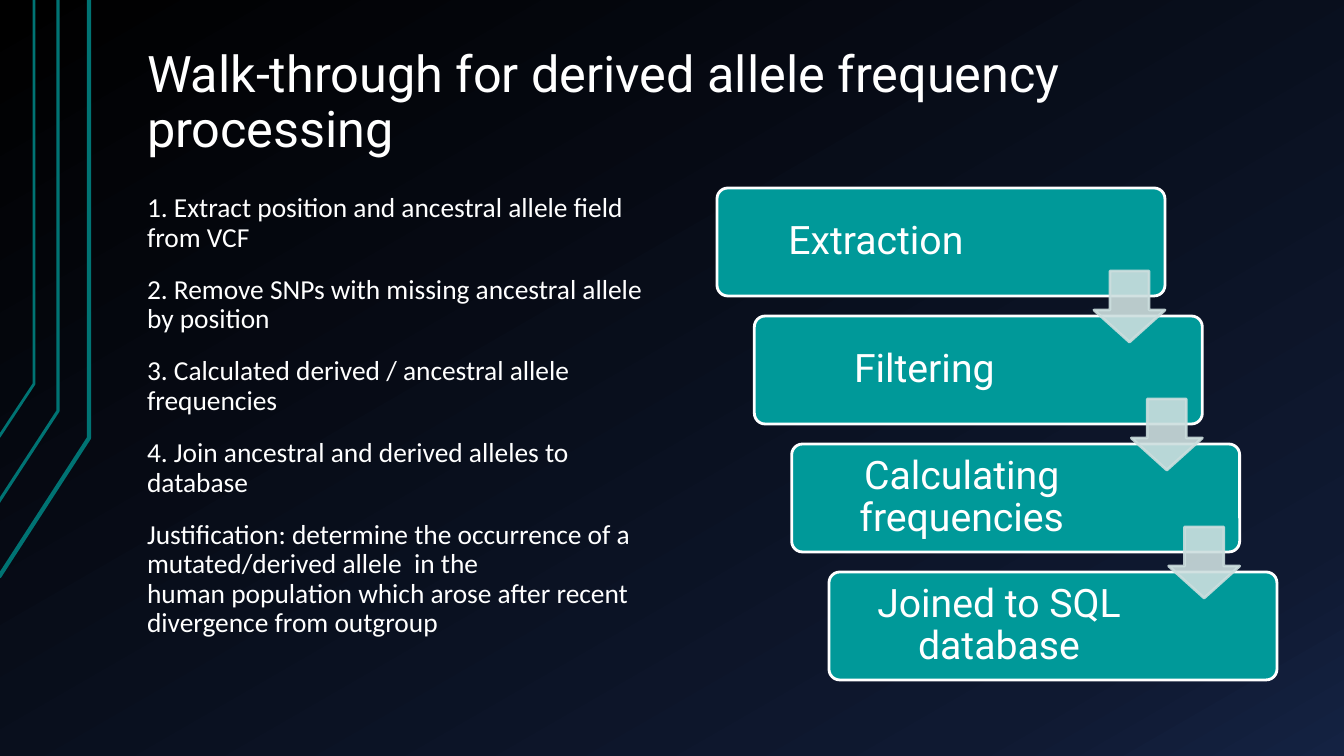
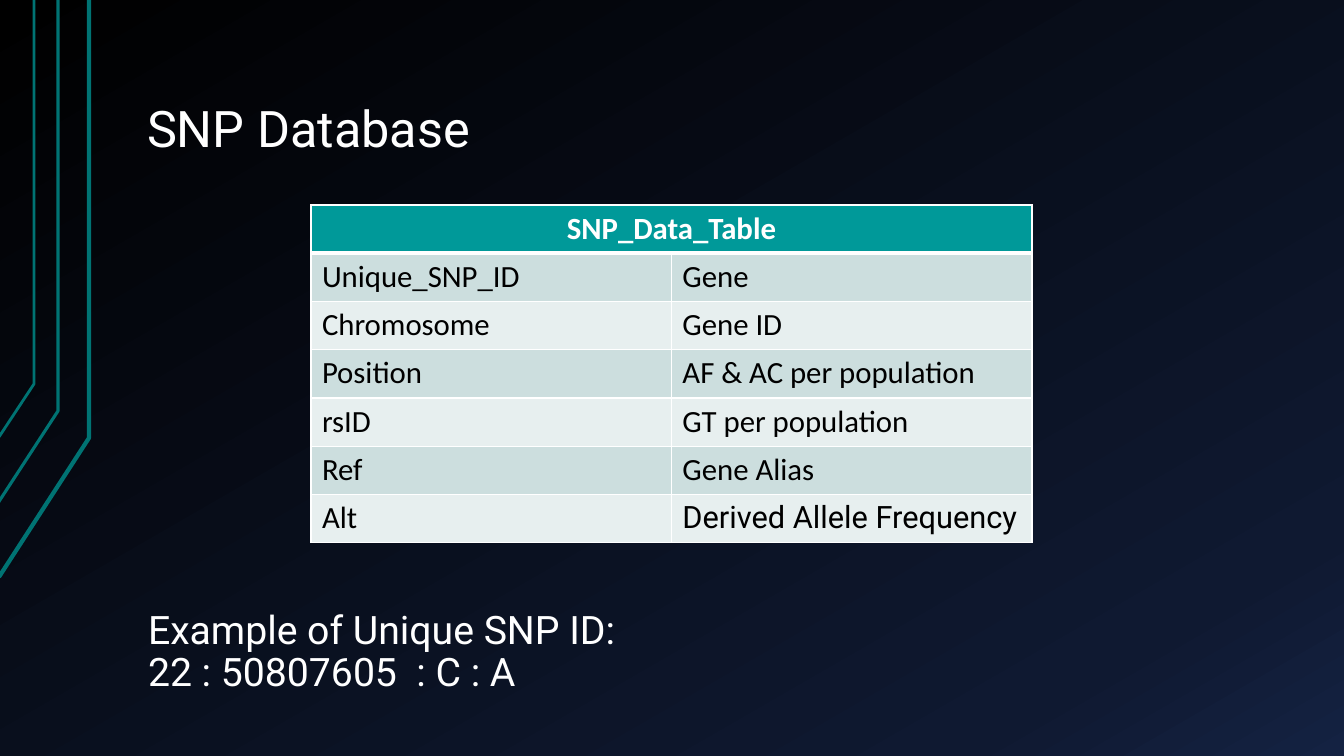
import copy
import lxml.etree
import pptx
import pptx.dml.color
import pptx.enum.shapes
import pptx.enum.text
import pptx.oxml.ns
import pptx.util

UNIT = 914400 / 100.8
HUE = {"white": "FFFFFF", "black": "000000", "navy": "0F1931", "blue": "142242",
       "teal": "009999", "line": "007373", "mist": "CCDEDE", "pale": "E7EFEF"}
FADE = [("black", 0), ("navy", 0.85), ("blue", 1)]
RAILS = [([(-1, 577), (89, 438), (89, 0)], 3),
         ([(-2, 503), (58, 411), (58, 0)], 2.25),
         ([(-1, 437), (34, 384), (34, 0)], 2)]
TITLE = (134, 30, 1142, 135)
NOTES = [
    "1. Extract position and ancestral allele field\u00a0 from VCF",
    "2. Remove SNPs with missing ancestral allele by position",
    "3. Calculated derived / ancestral allele frequencies",
    "4. Join ancestral\u00a0and derived alleles to database",
    "Justification: determine the\u00a0occurrence of a mutated/derived\u00a0allele\u00a0 "
    "in the human\u00a0population\u00a0which arose after\u00a0recent divergence from outgroup",
]
STEPS = [("Extraction", 312), ("Filtering", 334),
         ("Calculating frequencies", 334), ("Joined to SQL database", 334)]
FIELDS = [("Unique_SNP_ID", "Gene"), ("Chromosome", "Gene ID"),
          ("Position", "AF & AC per population"), ("rsID", "GT per population"),
          ("Ref", "Gene Alias"), ("Alt", "Derived Allele Frequency")]
SHAPE = pptx.enum.shapes.MSO_SHAPE
ANCHOR = pptx.enum.text.MSO_ANCHOR
ALIGN = pptx.enum.text.PP_ALIGN


def px(*vals):
    """Turn pixels into EMU."""
    return [pptx.util.Emu(round(val * UNIT)) for val in vals]


def rgb(name):
    """Look up a colour by name."""
    return pptx.dml.color.RGBColor.from_string(HUE[name])


def tag(name):
    """Expand a prefixed XML name."""
    return pptx.oxml.ns.qn(name)


def write(para, text, size, font="Roboto", color="white", bold=False):
    """Add one styled run to a paragraph."""
    run = para.add_run()
    run.text = text
    run.font.size = pptx.util.Pt(size)
    run.font.name = font
    run.font.bold = bold
    run.font.color.rgb = rgb(color)


def pad(part, left, top, right, base):
    """Set the inner margins of a text frame or cell."""
    (part.margin_left, part.margin_top,
     part.margin_right, part.margin_bottom) = px(left, top, right, base)


def prose(slide, box, lines, size, font="Roboto", anchor=ANCHOR.BOTTOM, gap=0):
    """Place a wrapped text box with one paragraph a line."""
    frame = slide.shapes.add_textbox(*px(*box)).text_frame
    frame.word_wrap = True
    frame.vertical_anchor = anchor
    pad(frame, 13, 7, 13, 7)
    for num, line in enumerate(lines):
        para = frame.add_paragraph() if num else frame.paragraphs[0]
        para.line_spacing = 0.9
        para.space_before = pptx.util.Pt(gap)
        write(para, line, size, font)


def shade(slide):
    """Fill the background with the three-stop fade."""
    fill = slide.background.fill
    fill.gradient()
    fill.gradient_angle = 300
    stops = slide.element.find(".//" + tag("a:gsLst"))
    stops.append(copy.deepcopy(stops[-1]))
    for stop, (name, place) in zip(fill.gradient_stops, FADE):
        stop.color.rgb = rgb(name)
        stop.position = place


def rails(slide):
    """Draw the bent lines at the left edge."""
    for points, width in RAILS:
        maker = slide.shapes.build_freeform(*points[0], scale=UNIT)
        maker.add_line_segments(points[1:], close=False)
        rail = maker.convert_to_shape()
        rail.shadow.inherit = False
        rail.fill.background()
        rail.line.color.rgb = rgb("line")
        rail.line.width = pptx.util.Pt(width)


def start(deck, title):
    """Add a slide with the shared backdrop and title."""
    slide = deck.slides.add_slide(deck.slide_layouts[6])
    shade(slide)
    rails(slide)
    prose(slide, TITLE, [title], 36)
    return slide


def solid(slide, kind, box, fill, edge, adjust):
    """Add a filled preset shape with an outline."""
    shape = slide.shapes.add_shape(kind, *px(*box))
    shape.shadow.inherit = False
    shape.fill.solid()
    shape.fill.fore_color.rgb = rgb(fill)
    shape.line.color.rgb = rgb(edge)
    shape.line.width = pptx.util.Pt(2)
    for num, val in enumerate(adjust):
        shape.adjustments[num] = val
    return shape


def stairs(slide, box):
    """Draw the steps down the box, then the arrows between them."""
    left, top, width, height = box
    wide, high, side = 448, 108, 71
    last = len(STEPS) - 1
    across, down = (width - wide) / last, (height - high) / last
    spots = [(left + num * across, top + num * down) for num in range(len(STEPS))]
    for (x, y), (label, room) in zip(spots, STEPS):
        step = solid(slide, SHAPE.ROUNDED_RECTANGLE, (x, y, wide, high),
                     "teal", "white", [0.1])
        frame = step.text_frame
        frame.word_wrap = True
        frame.vertical_anchor = ANCHOR.MIDDLE
        pad(frame, 12, 12, wide - room + 6, 12)
        para = frame.paragraphs[0]
        para.alignment = ALIGN.CENTER
        para.line_spacing = 0.9
        write(para, label, 28)
    for x, y in spots[:-1]:
        arrow = solid(slide, SHAPE.DOWN_ARROW, (x + wide - side, y + 83, side, side),
                      "mist", "mist", [0.55, 0.45])
        for color in arrow.element.spPr.iter(tag("a:srgbClr")):
            lxml.etree.SubElement(color, tag("a:alpha"), val="90000")


def border(cell, top, base):
    """Outline a cell in white, with point widths for top and base."""
    props = cell._tc.get_or_add_tcPr()
    for side, width in (("L", 1), ("R", 1), ("T", top), ("B", base)):
        edge = lxml.etree.SubElement(props, tag("a:ln" + side), w=str(width * 12700))
        paint = lxml.etree.SubElement(edge, tag("a:solidFill"))
        lxml.etree.SubElement(paint, tag("a:srgbClr"), val=HUE["white"])


def grid(slide, box):
    """Build the field table under its merged heading."""
    rows = [("SNP_Data_Table", "")] + FIELDS
    table = slide.shapes.add_table(len(rows), 2, *px(*box)).table
    for col in table.columns:
        col.width = px(box[2] / 2)[0]
    for r, row in enumerate(rows):
        table.rows[r].height = px(box[3] / len(rows))[0]
        for c, text in enumerate(row):
            cell = table.cell(r, c)
            border(cell, 3 if r == 1 else 1, 1 if r else 3)
            cell.fill.solid()
            name = ("mist" if r % 2 else "pale") if r else "teal"
            cell.fill.fore_color.rgb = rgb(name)
            pad(cell, 11, 5, 11, 5)
            if text:
                font = "Roboto" if text == FIELDS[-1][1] else "Calibri"
                write(cell.text_frame.paragraphs[0], text, 22, font,
                      "black" if r else "white", r == 0)
    table.cell(0, 0).merge(table.cell(0, 1))
    table.cell(0, 0).text_frame.paragraphs[0].alignment = ALIGN.CENTER


def process(deck):
    """Make the slide of notes and steps."""
    slide = start(deck, "Walk-through for derived allele frequency processing")
    prose(slide, (134, 187, 538, 494), NOTES, 19.6, "Calibri", ANCHOR.TOP, 16)
    stairs(slide, (717, 188, 560, 492))


def database(deck):
    """Make the slide of the table and its example."""
    slide = start(deck, "SNP Database")
    grid(slide, (311, 205, 721, 338))
    prose(slide, (135, 590, 665, 112),
          ["Example of Unique SNP ID:", "22 : 50807605\u00a0 : C : A"], 28)


deck = pptx.Presentation()
deck.slide_width, deck.slide_height = px(1344, 756)
process(deck)
database(deck)
deck.save("out.pptx")
